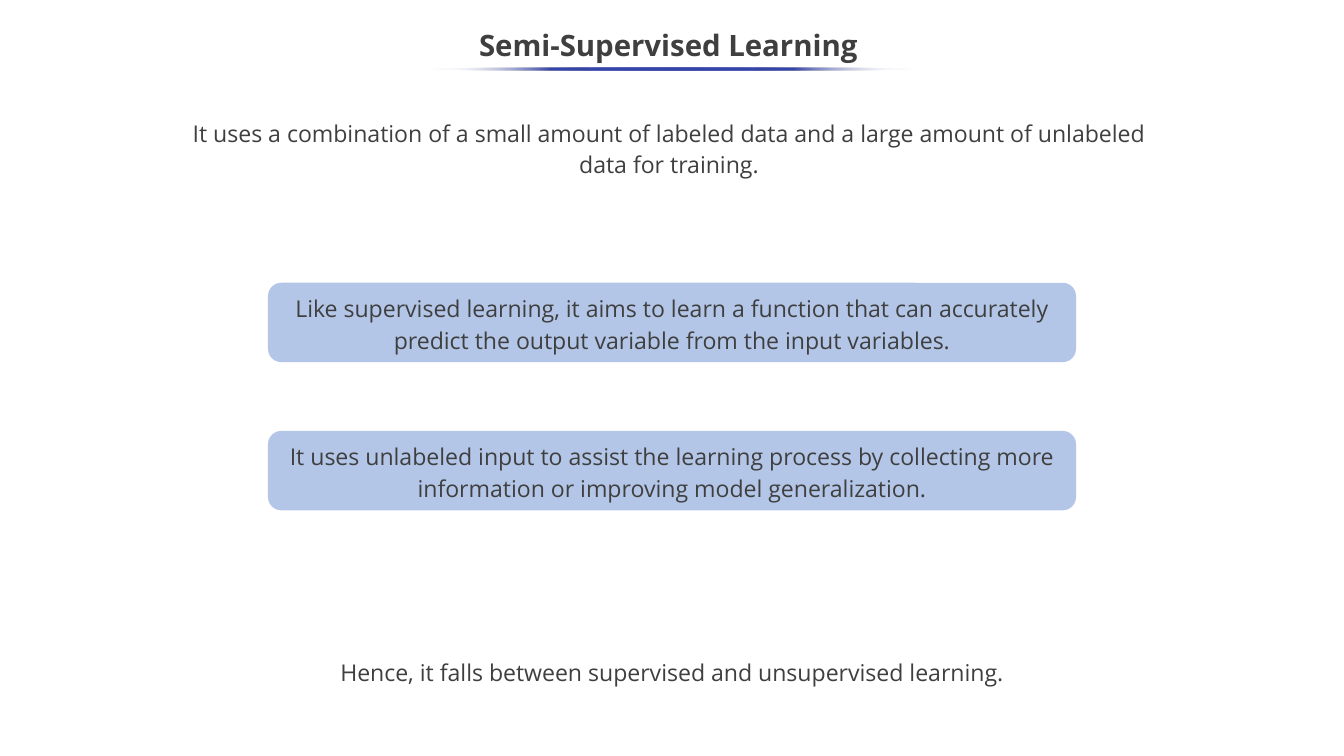
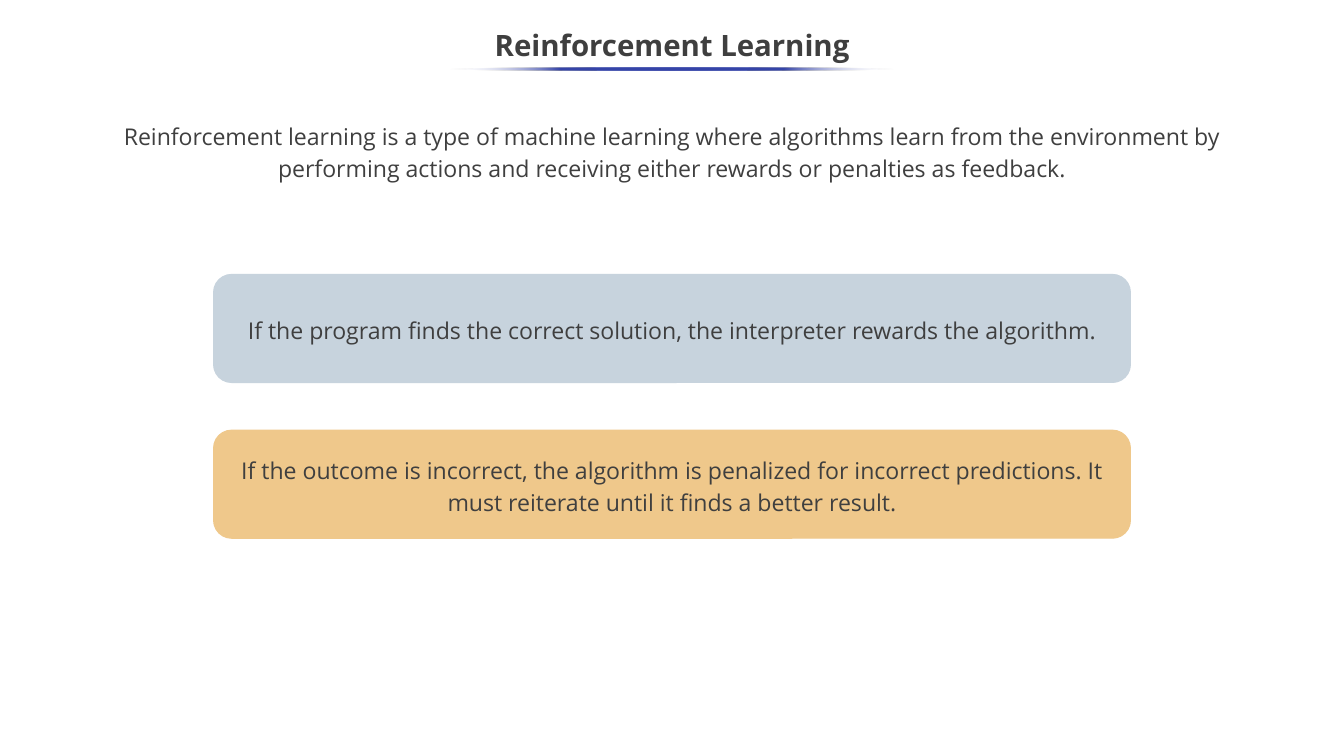
from collections import namedtuple

from lxml import etree
from pptx import Presentation
from pptx import util as u
from pptx.dml.color import RGBColor
from pptx.enum import shapes, text
from pptx.oxml import parse_xml
from pptx.oxml.ns import qn

SLIDE_W, SLIDE_H = u.Inches(17.78), u.Inches(10)
FONT = "Open Sans"
INK, ACCENT, PAPER = "3F3F3F", "3645A9", "FFFFFF"
BLUE, GREY_BLUE, AMBER = "B3C6E7", "C7D3DD", "EFC88B"
PLAIN_INSETS = (0.1, 0.05)

# Width, top and height in percent of the slide; every box is centred.
Band = namedtuple("Band", "width top height")
PanelStyle = namedtuple("PanelStyle", "insets anchor outlined")

SNUG = PanelStyle(PLAIN_INSETS, text.MSO_ANCHOR.TOP, False)
ROOMY = PanelStyle((0.14, 0.14), text.MSO_ANCHOR.MIDDLE, True)


def color(hex_string):
    return RGBColor.from_string(hex_string)


def place(band):
    """Turn a centred band into left, top, width and height."""
    width = int(SLIDE_W * band.width / 100)
    return ((SLIDE_W - width) // 2, int(SLIDE_H * band.top / 100),
            width, int(SLIDE_H * band.height / 100))


def write(shape, lines, size=22, bold=False, spacing=1.15,
          insets=PLAIN_INSETS, anchor=text.MSO_ANCHOR.TOP):
    frame = shape.text_frame
    frame.word_wrap = True
    frame.vertical_anchor = anchor
    frame.margin_left = frame.margin_right = u.Inches(insets[0])
    frame.margin_top = frame.margin_bottom = u.Inches(insets[1])
    for index, line in enumerate(lines):
        paragraph = frame.paragraphs[0] if index == 0 else frame.add_paragraph()
        paragraph.alignment = text.PP_ALIGN.CENTER
        paragraph.line_spacing = spacing
        run = paragraph.add_run()
        run.text = line
        run.font.name, run.font.size = FONT, u.Pt(size)
        run.font.bold = bold
        run.font.color.rgb = color(INK)


def add_shape(slide, kind, band, fill=None, outlined=False):
    shape = slide.shapes.add_shape(kind, *place(band))
    shape.shadow.inherit = False
    if fill:
        shape.fill.solid()
        shape.fill.fore_color.rgb = color(fill)
    else:
        shape.fill.background()
    if outlined:
        shape.line.color.rgb = color(fill)
        shape.line.width = u.Pt(1)
    else:
        shape.line.fill.background()
    return shape


def fade_ends(shape):
    """Fill with the accent colour, fading out at both ends."""
    namespace = "http://schemas.openxmlformats.org/drawingml/2006/main"
    gradient = parse_xml(f'<a:gradFill xmlns:a="{namespace}" rotWithShape="1">'
                         '<a:gsLst/><a:lin ang="10800000" scaled="0"/></a:gradFill>')
    for percent in range(0, 101, 25):
        at_end = percent in (0, 100)
        stop = etree.SubElement(gradient[0], qn("a:gs"), pos=str(percent * 1000))
        tint = etree.SubElement(stop, qn("a:srgbClr"), val=PAPER if at_end else ACCENT)
        if at_end:
            etree.SubElement(tint, qn("a:alpha"), val="0")
    properties = shape.element.spPr
    properties.replace(properties.find(qn("a:noFill")), gradient)


def add_title(slide, title, rule_width):
    heading = slide.shapes.add_textbox(*place(Band(100, 2.5, 7.5)))
    write(heading, [title], 28, True, 0.9, anchor=text.MSO_ANCHOR.MIDDLE)
    fade_ends(add_shape(slide, shapes.MSO_SHAPE.OVAL, Band(rule_width, 8.9, 0.4)))


def add_statement(slide, band, *lines):
    write(slide.shapes.add_textbox(*place(band)), lines)


def add_panel(slide, band, words, fill=None, style=SNUG):
    panel = add_shape(slide, shapes.MSO_SHAPE.ROUNDED_RECTANGLE, band,
                      fill, style.outlined)
    write(panel, [words], insets=style.insets, anchor=style.anchor)
    return panel


def add_panel_stack(slide, first, pitch, panels, style):
    for row, (words, fill) in enumerate(panels):
        band = first._replace(top=first.top + row * pitch)
        add_panel(slide, band, words, fill, style)


def semi_supervised(slide):
    add_title(slide, "Semi-Supervised Learning ", 35.88)
    add_statement(slide, Band(84.59, 14.7, 9.5),
                  "It uses a combination of a small amount of labeled data "
                  "and a large amount of unlabeled ",
                  "data for training. ")
    add_panel_stack(slide, Band(60.12, 37.4, 10.5), 19.6, [
        ("Like supervised learning, it aims to learn a function that can accurately "
         "predict the output variable from the input variables.", BLUE),
        ("It uses unlabeled input to assist the learning process by collecting more "
         "information or improving model generalization.", BLUE),
    ], SNUG)
    add_statement(slide, Band(80.15, 86, 5.3),
                  "Hence, it falls between supervised and unsupervised learning.")


def reinforcement(slide):
    add_title(slide, "Reinforcement Learning", 33.07)
    definition = add_panel(
        slide, Band(84.36, 14.8, 10.7),
        "Reinforcement learning is a type of machine learning where algorithms learn "
        "from the environment by performing actions and receiving either rewards or "
        "penalties as feedback.")
    definition.adjustments[0] = 0.12
    add_panel_stack(slide, Band(68.22, 36.3, 14.3), 20.6, [
        ("If the program finds the correct solution, the interpreter rewards "
         "the algorithm.", GREY_BLUE),
        ("If the outcome is incorrect, the algorithm is penalized for incorrect "
         "predictions. It must reiterate until it finds a better result.", AMBER),
    ], ROOMY)


def main():
    deck = Presentation()
    deck.slide_width, deck.slide_height = SLIDE_W, SLIDE_H
    for build in (semi_supervised, reinforcement):
        build(deck.slides.add_slide(deck.slide_layouts[6]))
    deck.save("out.pptx")


if __name__ == "__main__":
    main()
